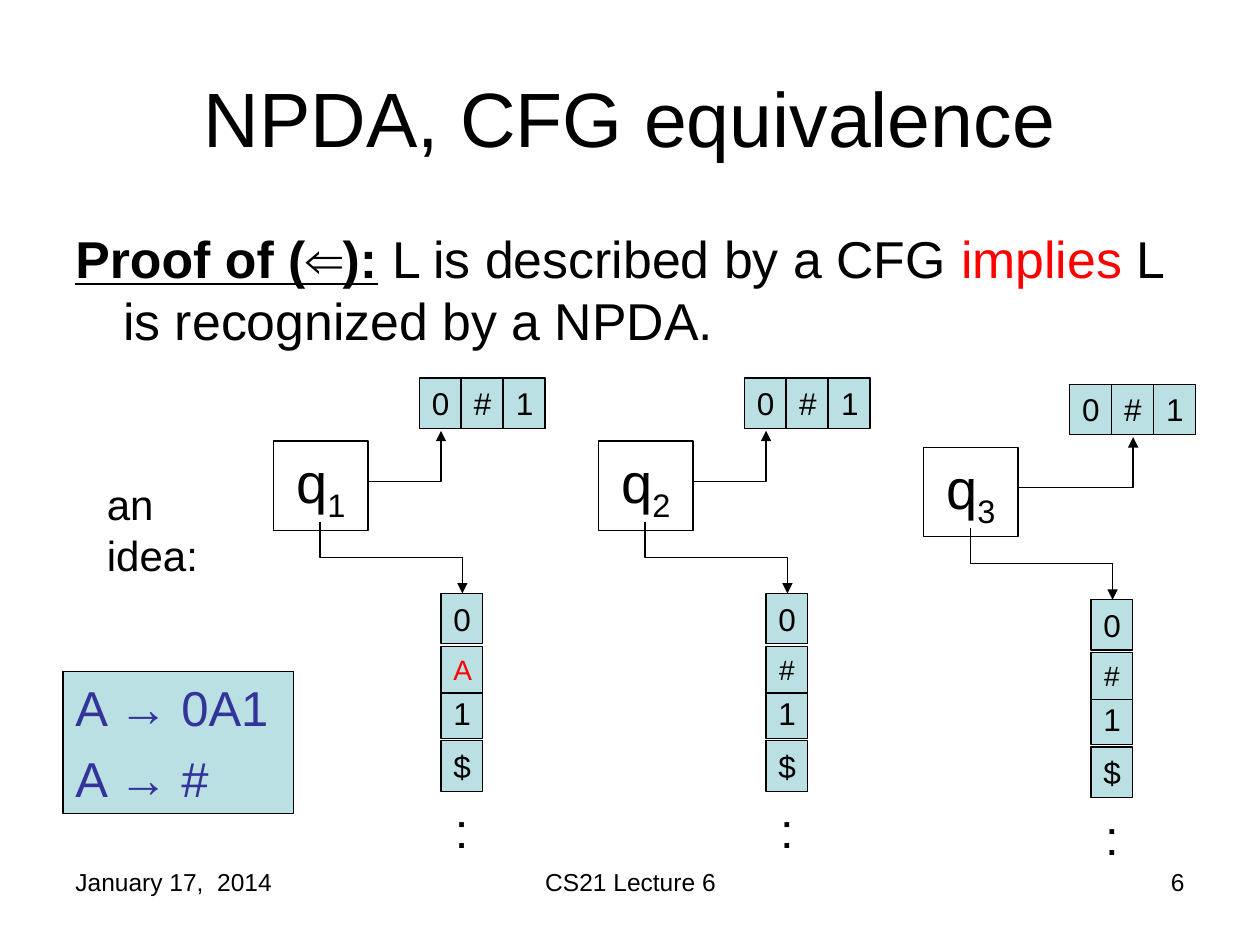
from dataclasses import dataclass

from lxml import etree
from pptx import Presentation
from pptx.dml.color import RGBColor
from pptx.enum.shapes import MSO_CONNECTOR, MSO_SHAPE
from pptx.enum.text import MSO_ANCHOR, MSO_AUTO_SIZE, PP_ALIGN
from pptx.oxml.ns import qn
from pptx.util import Inches, Pt

ELBOW = MSO_CONNECTOR.ELBOW
RECTANGLE = MSO_SHAPE.RECTANGLE
TOP, MIDDLE = MSO_ANCHOR.TOP, MSO_ANCHOR.MIDDLE
GROW, FIXED = MSO_AUTO_SIZE.SHAPE_TO_FIT_TEXT, MSO_AUTO_SIZE.NONE
LEFT, CENTER, RIGHT = PP_ALIGN.LEFT, PP_ALIGN.CENTER, PP_ALIGN.RIGHT


@dataclass(frozen=True)
class Theme:
    font: str = "Arial"
    ink: str = "000000"
    accent: str = "FF0000"
    rule: str = "333399"
    cell: str = "BBE0E3"
    line: float = 0.74
    title: float = 44
    body: float = 29.6
    state: float = 32
    grammar: float = 28
    label: float = 24
    symbol: float = 18
    small_symbol: float = 16
    footer: float = 14


THEME = Theme()
CELL_WIDTH, CELL_HEIGHT = 0.33, 0.4
CELL_PITCH = 1 / 3
MACHINE_LEFT, MACHINE_PITCH = 2.17, 2.58


def add_run(paragraph, text, size, color=THEME.ink, bold=False, underline=False, baseline=0):
    run = paragraph.add_run()
    run.text = text
    font = run.font
    font.name, font.size = THEME.font, Pt(size)
    font.bold, font.underline = bold, underline
    font.color.rgb = RGBColor.from_string(color)
    if baseline:
        run._r.get_or_add_rPr().set("baseline", str(baseline))


def write_text(shape, lines, size, color=THEME.ink, align=LEFT, anchor=TOP,
               before=0, auto_size=GROW):
    frame = shape.text_frame
    frame.word_wrap = True
    frame.auto_size = auto_size
    frame.vertical_anchor = anchor
    for index, runs in enumerate(lines):
        paragraph = frame.add_paragraph() if index else frame.paragraphs[0]
        paragraph.alignment = align
        paragraph.space_before = Pt(before)
        for text, style in runs:
            add_run(paragraph, text, **{"size": size, "color": color, **style})


def add_text(slide, box, lines, size, **style):
    shape = slide.shapes.add_textbox(*map(Inches, box))
    write_text(shape, lines, size, **style)
    return shape


def add_box(slide, box, lines, size, fill=None, **style):
    shape = slide.shapes.add_shape(RECTANGLE, *map(Inches, box))
    shape.shadow.inherit = False
    if fill:
        shape.fill.solid()
        shape.fill.fore_color.rgb = RGBColor.from_string(fill)
    else:
        shape.fill.background()
    shape.line.color.rgb = RGBColor.from_string(THEME.ink)
    shape.line.width = Pt(THEME.line)
    write_text(shape, lines, size, **style)


def add_cell(slide, left, top, symbol, height=CELL_HEIGHT, size=THEME.symbol,
             before=11.2, color=THEME.ink):
    add_box(slide, (left, top, CELL_WIDTH, height), [[(symbol, {})]], size,
            fill=THEME.cell, align=CENTER, before=before, color=color)


def add_elbow_arrow(slide, start, end, starts_down=False):
    if starts_down:
        middle_x, middle_y = (start[0] + end[0]) / 2, (start[1] + end[1]) / 2
        half_x, half_y = (end[0] - start[0]) / 2, (end[1] - start[1]) / 2
        start = middle_x + half_y, middle_y - half_x
        end = middle_x - half_y, middle_y + half_x
    connector = slide.shapes.add_connector(ELBOW, *map(Inches, (*start, *end)))
    connector.line.color.rgb = RGBColor.from_string(THEME.ink)
    connector.line.width = Pt(THEME.line)
    properties = connector._element.spPr
    if starts_down:
        properties.find(qn("a:xfrm")).set("rot", str(270 * 60000))
    else:
        properties.find(qn("a:prstGeom")).set("prst", "bentConnector2")
    etree.SubElement(properties.find(qn("a:ln")), qn("a:tailEnd"), type="triangle")
    etree.SubElement(properties, qn("a:effectLst"))


def add_machine(slide, number, drop, head, stack_symbol, stack_color):
    left = MACHINE_LEFT + (number - 1) * MACHINE_PITCH
    tape_left, stack_left = left + 1.16, left + 1.33
    for index, symbol in enumerate("0#1"):
        add_cell(slide, tape_left + index * CELL_PITCH, 3 + drop, symbol)
    add_box(slide, (left, 3.5 + drop, 0.75, 0.71),
            [[("q", {}), (str(number), {"baseline": -25000})]],
            THEME.state, align=CENTER, before=20)
    add_elbow_arrow(slide, (left + 0.75, 3.82 + drop),
                    (tape_left + 0.17 + head * CELL_PITCH, 3.42 + drop))
    add_cell(slide, stack_left, 4.71 + drop, "0")
    add_text(slide, (stack_left, 6.3 + drop, CELL_WIDTH, 0.57), [[(":", {})]],
             THEME.grammar, align=CENTER, before=17.5)
    add_elbow_arrow(slide, (left + 0.37, 4.14 + drop),
                    (stack_left + 0.17, 4.71 + drop), starts_down=True)
    add_cell(slide, stack_left, 5.46 + drop, "1")
    add_cell(slide, stack_left, 5.13 + drop, stack_symbol, height=0.37,
             size=THEME.small_symbol, before=10, color=stack_color)
    add_cell(slide, stack_left, 5.88 + drop, "$")


def add_footer(slide):
    for left, width, text, align in (
        (0.5, 2.33, "January 17,  2014", LEFT),
        (3.42, 3.17, "CS21 Lecture 6", CENTER),
        (7.17, 2.33, "6", RIGHT),
    ):
        add_text(slide, (left, 6.83, width, 0.52), [[(text, {})]], THEME.footer,
                 align=align, auto_size=FIXED)


def add_statement(slide):
    add_text(slide, (0.5, 0.3, 9, 1.25), [[("NPDA, CFG equivalence", {})]], THEME.title,
             align=CENTER, anchor=MIDDLE, auto_size=FIXED)
    statement = add_text(slide, (0.5, 1.75, 9, 1.17), [[
        ("Proof of (⇐):", {"bold": True, "underline": True}),
        (" L is described by a CFG ", {}),
        ("implies", {"color": THEME.accent}),
        (" L is recognized by a NPDA.", {}),
    ]], THEME.body, before=8, auto_size=FIXED)
    indent = statement.text_frame.paragraphs[0]._p.get_or_add_pPr()
    indent.set("marL", str(Inches(0.38)))
    indent.set("indent", str(Inches(-0.38)))


def main():
    presentation = Presentation()
    presentation.slide_width, presentation.slide_height = Inches(10), Inches(7.5)
    slide = presentation.slides.add_slide(presentation.slide_layouts[6])
    add_footer(slide)
    add_statement(slide)
    add_machine(slide, 1, 0, 0, "A", THEME.accent)
    add_machine(slide, 2, 0, 0, "#", THEME.ink)
    add_machine(slide, 3, 0.05, 1, "#", THEME.ink)
    add_box(slide, (0.5, 5.33, 1.83, 1.13), [[("A → 0A1", {})], [("A → #", {})]],
            THEME.grammar, fill=THEME.cell, color=THEME.rule, before=7)
    add_text(slide, (0.75, 3.75, 1.25, 0.9), [[("an idea:", {})]], THEME.label, before=15)
    presentation.save("out.pptx")


main()
